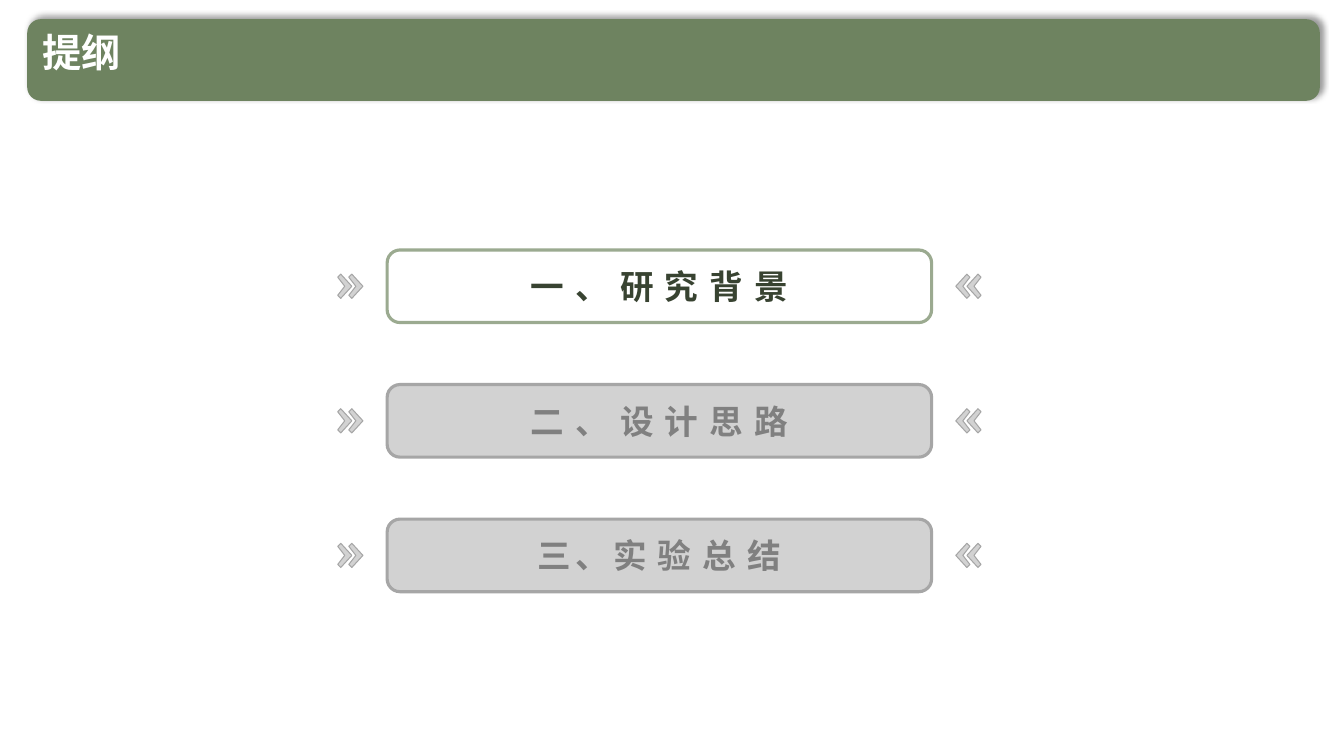
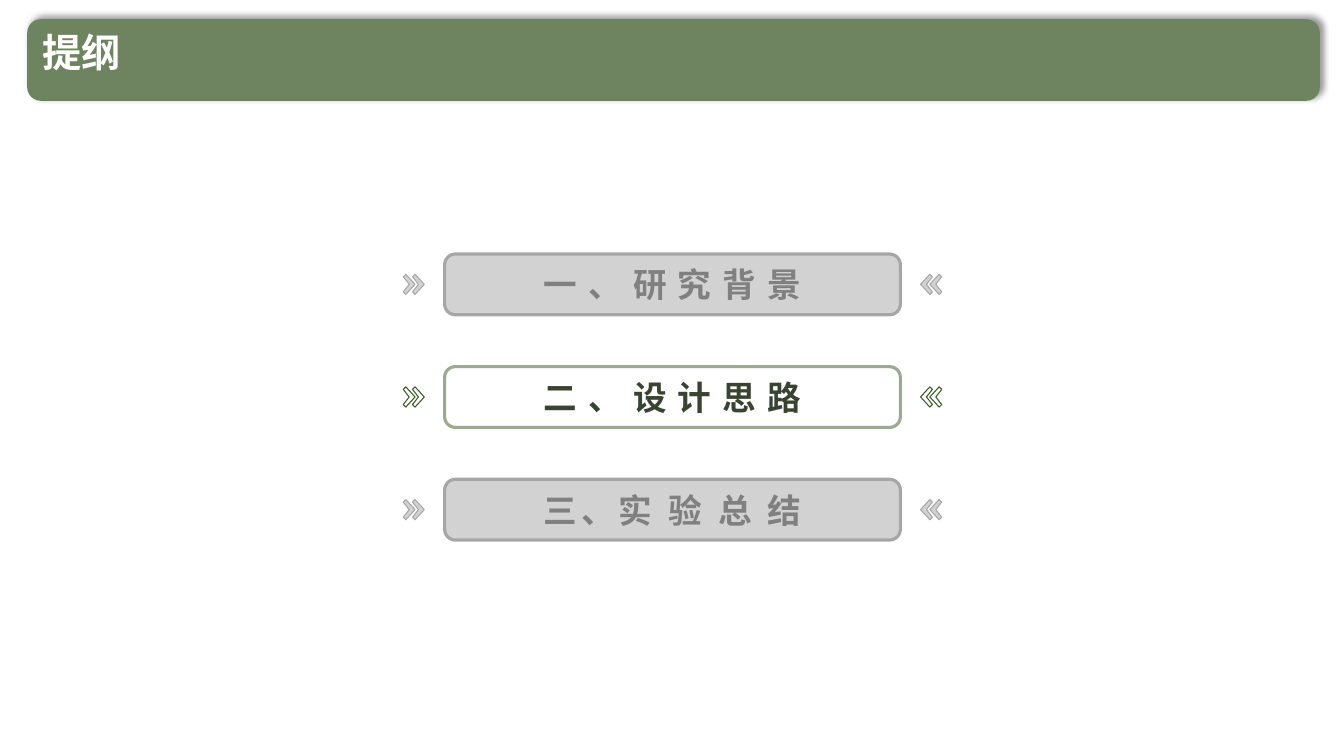
import lxml.etree
import pptx
import pptx.dml.color
import pptx.enum.shapes
import pptx.enum.text
import pptx.oxml.ns
import pptx.util

Inches = pptx.util.Inches
Pt = pptx.util.Pt
Color = pptx.dml.color.RGBColor
Shape = pptx.enum.shapes.MSO_SHAPE
Align = pptx.enum.text.PP_ALIGN
Anchor = pptx.enum.text.MSO_ANCHOR
qn = pptx.oxml.ns.qn

GREEN = Color(0x6E, 0x83, 0x60)
SAGE = Color(0x9B, 0xAA, 0x90)
MOSS = Color(0x38, 0x43, 0x31)
LEAF = Color(0x38, 0x57, 0x23)
GRAY = Color(0xA6, 0xA6, 0xA6)
DIM = Color(0x80, 0x80, 0x80)
BLACK = Color(0, 0, 0)
WHITE = Color(0xFF, 0xFF, 0xFF)

FONT = "Noto Sans CJK SC"
TITLE = "提纲"
BASE = 5.4
PITCH = 1.335
ARROW = [(0.03, 0), (0, 0.03), (0.07, 0.12), (0, 0.21), (0.03, 0.24), (0.14, 0.12)]
TIPS = (-0.49, -0.38)


def node(parent, tag, **attrs):
    """Append a drawing element to its parent."""
    return lxml.etree.SubElement(parent, qn(tag), attrs)


def write(para, text, size, color, gap=0):
    """Add one bold run with the given letter spacing in points."""
    run = para.add_run()
    run.text = text
    font = run.font
    font.name, font.size, font.bold = FONT, Pt(size), True
    font.color.rgb = color
    props = run.font._element
    node(props, "a:ea", typeface=FONT)
    if gap:
        props.set("spc", str(gap * 100))


def paint(shape, line, width, filled):
    """Outline a shape and fill it with half-clear gray or nothing."""
    shape.shadow.inherit = False
    shape.line.color.rgb = line
    shape.line.width = Pt(width)
    if filled:
        shape.fill.solid()
        shape.fill.fore_color.rgb = GRAY
        tint = shape.element.spPr.find(qn("a:solidFill"))[0]
        node(tint, "a:alpha", val="50000")
    else:
        shape.fill.background()


def header(slide):
    """Draw the green title band with its shadow and the title."""
    band = slide.shapes.add_shape(
        Shape.ROUNDED_RECTANGLE, Inches(0.27), Inches(0.19), Inches(12.82), Inches(0.81))
    band.fill.solid()
    band.fill.fore_color.rgb = GREEN
    band.line.fill.background()
    band.shadow.inherit = False
    effect = band.element.spPr.find(qn("a:effectLst"))
    shade = node(effect, "a:outerShdw", blurRad=str(Pt(4)), dist=str(Pt(3)),
                 dir=str(315 * 60000), algn="bl", rotWithShape="0")
    tint = node(shade, "a:srgbClr", val=str(BLACK))
    node(tint, "a:alpha", val="40000")

    box = slide.shapes.add_textbox(Inches(0.32), Inches(0.28), Inches(11.07), Inches(0.62))
    box.text_frame.word_wrap = True
    para = box.text_frame.paragraphs[0]
    para.line_spacing = 0.9
    write(para, TITLE, 28, WHITE)


def arrow(shapes, left, top, scale, side, line, filled):
    """Draw one chevron from its outer edge, pointing along side (1 or -1)."""
    dots = [(Inches(left + side * x * scale), Inches(top + y * scale)) for x, y in ARROW]
    pen = shapes.build_freeform(*dots[0], scale=1.0)
    pen.add_line_segments(dots[1:], close=True)
    paint(pen.convert_to_shape(), line, 0.75, filled)


def row(slide, left, top, width, runs, live, tip):
    """Draw one outline entry with two chevrons on each side."""
    scale = width / BASE
    high = 0.72 * scale
    shapes = slide.shapes.add_group_shape().shapes
    crest = top + (high - 0.24 * scale) / 2
    for shift in TIPS:
        for edge, side in ((left, 1), (left + width, -1)):
            arrow(shapes, edge + side * shift * scale, crest, scale, side,
                  tip, tip == GRAY)
    box = shapes.add_shape(
        Shape.ROUNDED_RECTANGLE, Inches(left), Inches(top), Inches(width), Inches(high))
    box.adjustments[0] = 0.177
    paint(box, SAGE if live else GRAY, 2.25, not live)
    frame = box.text_frame
    frame.word_wrap = True
    frame.vertical_anchor = Anchor.MIDDLE
    para = frame.paragraphs[0]
    para.alignment = Align.CENTER
    for text, gap in runs:
        write(para, text, 24, MOSS if live else DIM, gap)


def outline(deck, left, top, width, last, active, tip):
    """Add an outline slide with one active entry."""
    slide = deck.slides.add_slide(deck.slide_layouts[6])
    header(slide)
    items = [[("一、研究背景", 8)], [("二、设计思路", 8)], last]
    for index, runs in enumerate(items):
        live = index == active
        row(slide, left, top + index * PITCH * width / BASE, width, runs,
            live, tip if live else GRAY)


def main():
    """Build and save the deck."""
    deck = pptx.Presentation()
    deck.slide_width = Inches(13.33)
    deck.slide_height = Inches(7.5)
    outline(deck, 3.84, 2.48, 5.4, [("三、", 3), ("实验总结", 8)], 0, GRAY)
    outline(deck, 4.41, 2.52, 4.52, [("三、实 验 总 结", 3)], 1, LEAF)
    deck.save("out.pptx")


if __name__ == "__main__":
    main()
